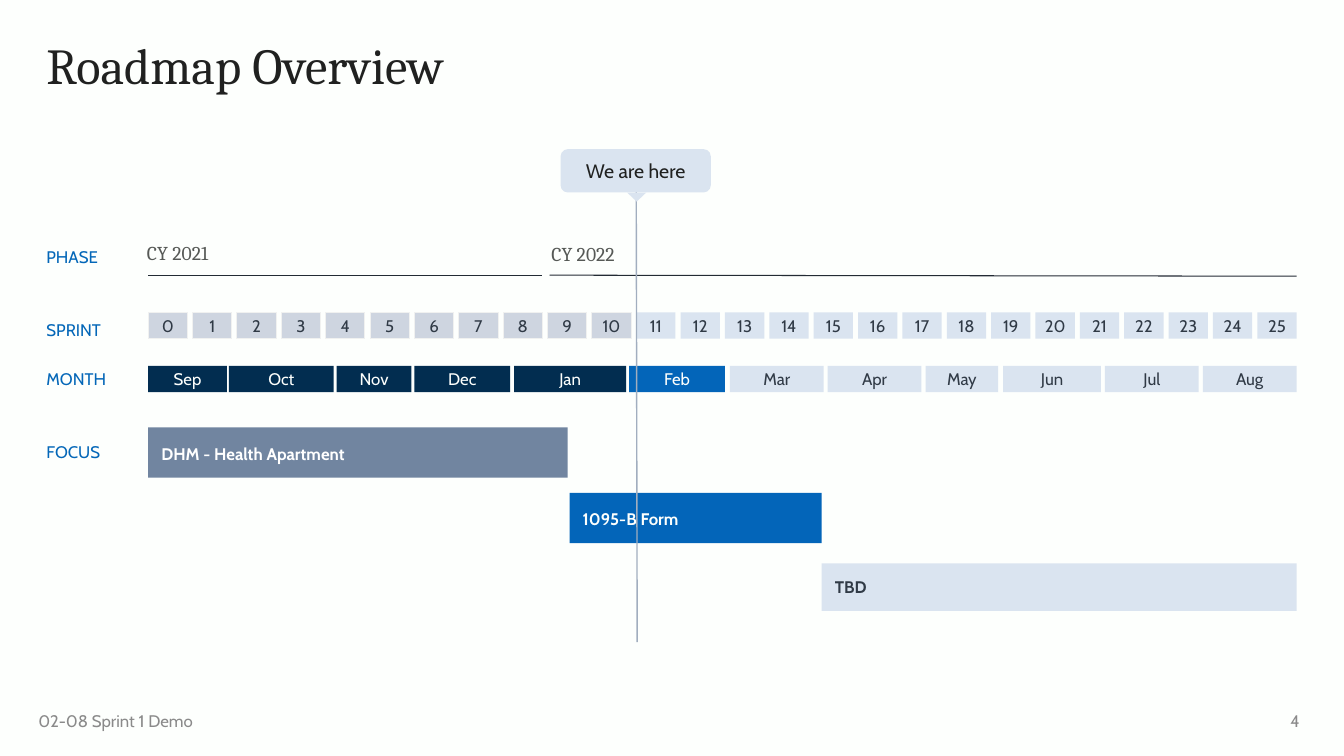
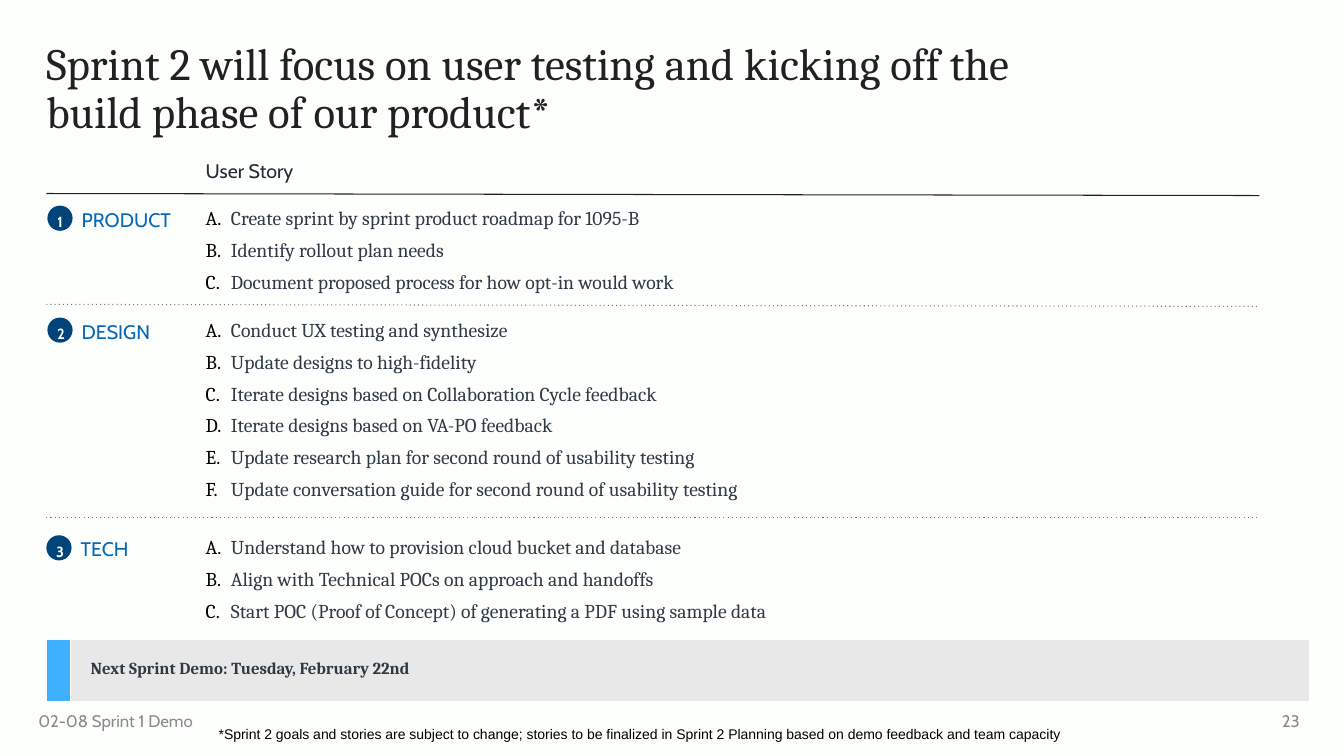
from dataclasses import dataclass
from typing import NamedTuple, Optional

from lxml import etree
from pptx import Presentation
from pptx import util as u
from pptx.dml.color import RGBColor
from pptx.enum import shapes, text
from pptx.oxml.ns import qn

PX = 9144  # EMU per px: 100 px to the inch

COLORS = {
    "background": "FDFFFD", "ink": "202120", "slate": "303A46", "heading": "242B34",
    "phase_rule": "232B34", "phase": "565956", "label": "0467B8", "footer": "8A8A8A",
    "past": "CED5E0", "past_edge": "F0F1F0", "future": "DAE4F0", "navy": "022D50",
    "current": "0365B9", "done": "7185A0", "white": "FFFFFF", "marker": "A1AEBF",
    "badge": "014479", "divider": "747C74", "accent": "3FAFFF", "band": "E8E8E8",
    "black": "000000",
}
SANS, SERIF = "Cabin", "Cambria"
LEFT, ALIGN, ANCHOR = 46, text.PP_ALIGN, text.MSO_ANCHOR


class Box(NamedTuple):
    left: int
    top: int
    width: int
    height: int


@dataclass(frozen=True)
class Style:
    size: float = 12
    color: str = "slate"
    font: str = SANS
    bold: bool = False
    align: ALIGN = ALIGN.LEFT
    spacing: Optional[float] = None
    anchor: ANCHOR = ANCHOR.TOP
    insets: tuple = (0, 0, 0, 0)


@dataclass(frozen=True)
class Month:
    name: str
    left: int
    width: int
    fill: str = "future"
    color: str = "slate"


@dataclass(frozen=True)
class Focus:
    name: str
    box: Box
    fill: str
    color: str
    spacing: Optional[float] = 1.15


@dataclass(frozen=True)
class Workstream:
    name: str
    left: int
    box: Box
    stories: tuple


PADDING = (10, 5, 10, 5)
ROW_LABEL = Style(color="label")
STREAM_LABEL = Style(14, "label")
STORY = Style(14, font=SERIF)
PHASE = Style(14, "phase", SERIF, insets=PADDING)
BADGE = Style(10.5, "background", bold=True, align=ALIGN.CENTER, spacing=1.4,
              anchor=ANCHOR.MIDDLE, insets=(6, 6, 6, 6))

ROW_LABELS = {"PHASE": 245, "SPRINT": 317, "MONTH": 366, "FOCUS": 438}
MONTHS = (
    Month("Sep", 147, 78, "navy", "background"),
    Month("Oct", 227, 104, "navy", "background"),
    Month("Nov", 334, 74, "navy", "background"),
    Month("Dec", 411, 95, "navy", "background"),
    Month("Jan", 510, 111, "navy", "background"),
    Month("Feb", 624, 95, "current", "background"),
    Month("Mar", 724, 93), Month("Apr", 821, 93), Month("May", 918, 72),
    Month("Jun", 995, 97), Month("Jul", 1096, 93), Month("Aug", 1193, 93),
)
FOCUSES = (
    Focus("DHM - Health Apartment", Box(147, 424, 416, 50), "done", "white"),
    Focus("1095-B Form", Box(565, 489, 250, 50), "current", "background"),
    Focus("TBD", Box(815, 559, 471, 47), "future", "slate", None),
)
WORKSTREAMS = (
    Workstream("PRODUCT", 47, Box(204, 204, 1112, 88), (
        "Create sprint by sprint product roadmap for 1095-B",
        "Identify rollout plan needs",
        "Document proposed process for how opt-in would work")),
    Workstream("DESIGN", 47, Box(204, 315, 1045, 183), (
        "Conduct UX testing and synthesize",
        "Update designs to high-fidelity",
        "Iterate designs based on Collaboration Cycle feedback",
        "Iterate designs based on VA-PO feedback",
        "Update research plan for second round of usability testing",
        "Update conversation guide for second round of usability testing")),
    Workstream("TECH", 46, Box(204, 531, 970, 88), (
        "Understand how to provision cloud bucket and database",
        "Align with Technical POCs on approach and handoffs",
        "Start POC (Proof of Concept) of generating a PDF using sample data")),
)


def rgb(name: str) -> RGBColor:
    return RGBColor.from_string(COLORS[name])


def emu(lengths) -> list:
    return [u.Emu(length * PX) for length in lengths]


def paint(target, color: str) -> None:
    target.fill.solid()
    target.fill.fore_color.rgb = rgb(color)


def format_paragraph(paragraph, style: Style) -> None:
    paragraph.alignment = style.align
    if style.spacing:
        paragraph.line_spacing = style.spacing
    font = paragraph.font
    font.name, font.size, font.bold = style.font, u.Pt(style.size), style.bold
    font.color.rgb = rgb(style.color)


def set_bullet(paragraph, lettered: bool) -> None:
    props = paragraph._p.get_or_add_pPr()
    indent = 25 * PX if lettered else 0
    props.set("marL", str(indent))
    props.set("indent", str(-indent))
    if lettered:
        color = etree.SubElement(props, qn("a:buClr"))
        etree.SubElement(color, qn("a:srgbClr"), val=COLORS["black"])
        etree.SubElement(props, qn("a:buAutoNum"), type="alphaUcPeriod")
    else:
        etree.SubElement(props, qn("a:buNone"))


def write(shape, words: str, style: Style) -> None:
    frame = shape.text_frame
    frame.word_wrap = True
    frame.auto_size = text.MSO_AUTO_SIZE.NONE
    frame.vertical_anchor = style.anchor
    (frame.margin_left, frame.margin_top,
     frame.margin_right, frame.margin_bottom) = emu(style.insets)
    frame.text = words
    for paragraph in frame.paragraphs:
        format_paragraph(paragraph, style)


def add_label(slide, box: Box, words: str, style: Style) -> None:
    write(slide.shapes.add_textbox(*emu(box)), words, style)


def add_block(slide, box: Box, fill: str, words: str = "", style: Style = Style(),
              kind=shapes.MSO_SHAPE.RECTANGLE, edge: Optional[str] = None):
    block = slide.shapes.add_shape(kind, *emu(box))
    block.shadow.inherit = False
    paint(block, fill)
    if edge:
        block.line.color.rgb = rgb(edge)
        block.line.width = u.Pt(0.75)
    else:
        block.line.fill.background()
    if words:
        write(block, words, style)
    return block


def add_rule(slide, start: tuple, end: tuple, color: str,
             width: float = 0.75, dotted: bool = False) -> None:
    rule = slide.shapes.add_connector(shapes.MSO_CONNECTOR.STRAIGHT, *emu(start + end))
    rule.line.color.rgb = rgb(color)
    rule.line.width = u.Pt(width)
    props = rule._element.spPr
    if dotted:
        etree.SubElement(props.find(qn("a:ln")), qn("a:prstDash"), val="dot")
    etree.SubElement(props, qn("a:effectLst"))


def place(holder, box: Box) -> None:
    holder.left, holder.top, holder.width, holder.height = emu(box)


def fill_body(holder, box: Box, lines: tuple, style: Style, lettered: bool) -> None:
    place(holder, box)
    write(holder, "\n".join(lines), style)
    for index, paragraph in enumerate(holder.text_frame.paragraphs):
        paragraph.space_before = u.Pt(6 if index else 0)
        props = paragraph._p.get_or_add_pPr()
        # Bullets go in before the font settings
        props.remove(props.find(qn("a:defRPr")))
        set_bullet(paragraph, lettered)
        format_paragraph(paragraph, style)


def add_slide(prs, layout: str, title: str, title_box: Box, title_size: int, number: int):
    slide = prs.slides.add_slide(prs.slide_layouts.get_by_name(layout))
    place(slide.shapes.title, title_box)
    write(slide.shapes.title, title, Style(title_size, "ink", SERIF, spacing=0.9))
    # Footer and slide number
    add_label(slide, Box(33, 695, 180, 40), "02-08 Sprint 1 Demo",
              Style(color="footer", anchor=ANCHOR.MIDDLE, insets=(5, 5, 10, 5)))
    add_label(slide, Box(1255, 695, 44, 40), str(number),
              Style(color="footer", align=ALIGN.RIGHT, anchor=ANCHOR.MIDDLE, insets=PADDING))
    return slide


def build_roadmap(prs) -> None:
    slide = add_slide(prs, "Title Only", "Roadmap Overview", Box(LEFT, 41, 1242, 55), 36, 4)
    for name, top in ROW_LABELS.items():
        add_label(slide, Box(LEFT, top, 78, 20), name, ROW_LABEL)

    # Phases
    add_rule(slide, (147, 273), (538, 273), "phase_rule")
    add_rule(slide, (545, 273), (1286, 274), "phase_rule")
    add_label(slide, Box(136, 234, 300, 34), "CY 2021", PHASE)
    add_label(slide, Box(537, 235, 300, 34), "CY 2022", PHASE)

    # Sprints 0 to 25, the first eleven already past
    cell = Style(align=ALIGN.CENTER, insets=(3, 3, 3, 3))
    for sprint in range(26):
        past = sprint <= 10
        add_block(slide, Box(147 + 44 * sprint, 310, 39, 26), "past" if past else "future",
                  str(sprint), cell, edge="past_edge" if past else None)

    # Months
    for month in MONTHS:
        add_block(slide, Box(month.left, 363, month.width, 26), month.fill, month.name,
                  Style(color=month.color, align=ALIGN.CENTER, insets=(3, 3, 3, 3)))

    # Focus bars
    for focus in FOCUSES:
        add_block(slide, focus.box, focus.fill, focus.name,
                  Style(color=focus.color, bold=True, spacing=focus.spacing,
                        insets=(13, 13, 13, 13)))

    # Current position marker
    add_rule(slide, (631, 170), (632, 637), "marker", 1)
    add_block(slide, Box(556, 148, 149, 43), "future", "We are here",
              Style(14, "ink", align=ALIGN.CENTER, anchor=ANCHOR.MIDDLE, insets=PADDING),
              shapes.MSO_SHAPE.ROUNDED_RECTANGLE)
    pointer = add_block(slide, Box(622, 191, 19, 9), "future",
                        kind=shapes.MSO_SHAPE.ISOSCELES_TRIANGLE)
    pointer.rotation = 180


def build_next_sprint(prs) -> None:
    slide = add_slide(
        prs, "Comparison",
        "Sprint 2 will focus on user testing and kicking off the build phase of our product*",
        Box(LEFT, 41, 984, 117), 32, 23)
    _, heading, *bodies = slide.placeholders

    # Column heading and dividers
    fill_body(heading, Box(204, 158, 1085, 24), ("User Story",), Style(14, "heading"), False)
    add_rule(slide, (LEFT, 192), (1249, 194), "ink")
    add_rule(slide, (LEFT, 302), (1249, 304), "divider", dotted=True)
    add_rule(slide, (LEFT, 513), (1249, 513), "divider", dotted=True)

    # Workstreams with their stories
    for number, (stream, body) in enumerate(zip(WORKSTREAMS, bodies), 1):
        top = stream.box.top
        add_block(slide, Box(stream.left, top, 25, 25), "badge", str(number), BADGE,
                  shapes.MSO_SHAPE.OVAL)
        add_label(slide, Box(stream.left + 34, top + 2, 97, 24), stream.name, STREAM_LABEL)
        fill_body(body, stream.box, stream.stories, STORY, True)

    # Next demo banner
    banner = slide.shapes.add_table(1, 2, *emu((LEFT, 634, 1243, 62))).table
    banner.first_row = banner.horz_banding = False
    for column, width in zip(banner.columns, emu((14, 1229))):
        column.width = width
    accent, demo = banner.rows[0].cells
    paint(accent, "accent")
    paint(demo, "band")
    (demo.margin_left, demo.margin_top,
     demo.margin_right, demo.margin_bottom) = emu((20, 20, 290, 20))
    demo.text = "Next Sprint Demo: Tuesday, February 22nd"
    format_paragraph(demo.text_frame.paragraphs[0], Style(font=SERIF, bold=True))

    # Footnote
    add_label(slide, Box(207, 715, 1034, 27),
              "*Sprint 2 goals and stories are subject to change; stories to be finalized in "
              "Sprint 2 Planning based on demo feedback and team capacity",
              Style(10, "black", "Arial", insets=PADDING))


def main() -> None:
    prs = Presentation()
    prs.slide_width, prs.slide_height = emu((1333, 750))
    paint(prs.slide_master.background, "background")
    build_roadmap(prs)
    build_next_sprint(prs)
    prs.save("out.pptx")


if __name__ == "__main__":
    main()
